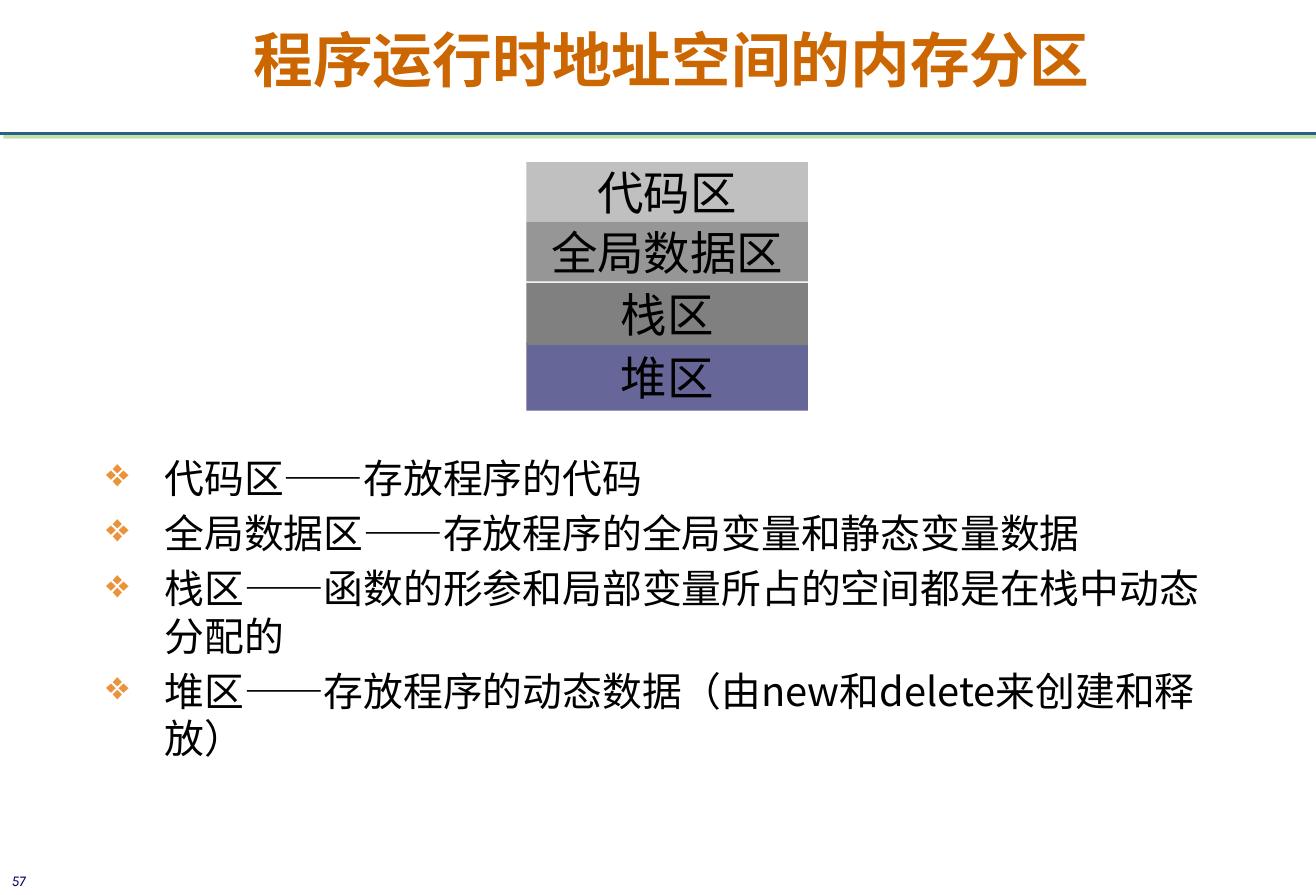
from lxml import etree
from pptx import Presentation
from pptx import util as u
from pptx.dml import color
from pptx.enum import shapes, text
from pptx.oxml import ns

CJK_FONT = "Noto Sans CJK KR"
BLACK = "000000"
TITLE = "程序运行时地址空间的内存分区"
REGIONS = [
    ("代码区", 3.45, 1.27, "C0C0C0"),
    ("全局数据区", 4.72, 1.27, "969696"),
    ("堆区", 7.29, 1.45, "666699"),
    ("栈区", 6.02, 1.32, "808080"),
]
EXPLANATIONS = [
    "代码区——存放程序的代码",
    "全局数据区——存放程序的全局变量和静态变量数据",
    "栈区——函数的形参和局部变量所占的空间都是在栈中动态分配的",
    "堆区——存放程序的动态数据（由new和delete来创建和释放）",
]


def paint(color_format, hex_value):
    color_format.rgb = color.RGBColor.from_string(hex_value)


def cm_box(*lengths):
    return [u.Cm(length) for length in lengths]


def add_xml(parent, tag, **attributes):
    element = etree.SubElement(parent, ns.qn(tag))
    for key, value in attributes.items():
        element.set(key, str(value))
    return element


def style(paragraph, size, hex_value, latin=CJK_FONT, align=text.PP_ALIGN.CENTER):
    paragraph.alignment = align
    font = paragraph.font
    font.size = u.Pt(size)
    font.name = latin
    paint(font.color, hex_value)
    defaults = paragraph._p.pPr.find(ns.qn("a:defRPr"))
    add_xml(defaults, "a:ea", typeface=CJK_FONT)
    return font


def add_block(parent, bounds, caption, fill, size, hex_value, latin):
    block = parent.add_shape(shapes.MSO_SHAPE.RECTANGLE, *cm_box(*bounds))
    block.shadow.inherit = False
    block.fill.solid()
    paint(block.fill.fore_color, fill)
    block.line.fill.background()
    frame = block.text_frame
    frame.vertical_anchor = text.MSO_ANCHOR.MIDDLE
    frame.text = caption
    style(frame.paragraphs[0], size, hex_value, latin)
    return frame


def add_title_rule(slide, width):
    height = u.Cm(2.84)
    rule = slide.shapes.add_connector(shapes.MSO_CONNECTOR.STRAIGHT, 0, height, width, height)
    rule.line.width = u.Pt(2.25)
    paint(rule.line.color, "236485")
    effects = add_xml(rule._element.spPr, "a:effectLst")
    shadow = add_xml(effects, "a:outerShdw", blurRad=0, dist=u.Pt(2.8), dir=45 * 60000)
    tint = add_xml(shadow, "a:srgbClr", val="90C060")
    add_xml(tint, "a:alpha", val=50000)


def add_page_number(slide):
    frame = add_block(slide.shapes, (0, 18.36, 0.79, 0.66), "57", "FFFFFF", 9, "000066", "Karla")
    frame.margin_left = frame.margin_right = 0
    frame.word_wrap = False
    frame.paragraphs[0].font.italic = True
    frame.paragraphs[0].line_spacing = 1.3


def fill_title(slide):
    title = slide.shapes.title
    title.left, title.top, title.width, title.height = cm_box(3.81, 0.53, 20.95, 1.32)
    frame = title.text_frame
    frame.text = TITLE
    frame.vertical_anchor = text.MSO_ANCHOR.TOP
    frame.auto_size = text.MSO_AUTO_SIZE.NONE
    heading = frame.paragraphs[0]
    heading.line_spacing = 0.9
    style(heading, 36, "CC6600").bold = True


def add_bullet(paragraph):
    properties = paragraph._p.pPr
    indent = u.Cm(1.24)
    properties.set("marL", str(indent))
    properties.set("indent", str(-indent))
    defaults = properties.find(ns.qn("a:defRPr"))
    bullet_color = add_xml(properties, "a:buClr")
    add_xml(bullet_color, "a:srgbClr", val="EB933B")
    defaults.addprevious(bullet_color)
    defaults.addprevious(add_xml(properties, "a:buChar", char="❖"))


def add_explanations(slide):
    frame = slide.shapes.add_textbox(*cm_box(2.01, 9.53, 23.88, 8)).text_frame
    frame.word_wrap = True
    frame.text = "\n".join(EXPLANATIONS)
    for paragraph in frame.paragraphs:
        paragraph.space_before = u.Pt(4.8)
        paragraph.line_spacing = u.Pt(28.6)
        style(paragraph, 24, BLACK, align=text.PP_ALIGN.LEFT)
        add_bullet(paragraph)


def add_memory_map(slide):
    memory = slide.shapes.add_group_shape().shapes
    for caption, top, height, fill in REGIONS:
        add_block(memory, (11.2, top, 5.99, height), caption, fill, 28, BLACK, "Times New Roman")


def main():
    deck = Presentation()
    deck.slide_width, deck.slide_height = cm_box(28, 19.05)
    slide = deck.slides.add_slide(deck.slide_layouts[5])
    add_title_rule(slide, deck.slide_width)
    add_page_number(slide)
    fill_title(slide)
    add_explanations(slide)
    add_memory_map(slide)
    deck.save("out.pptx")


if __name__ == "__main__":
    main()
